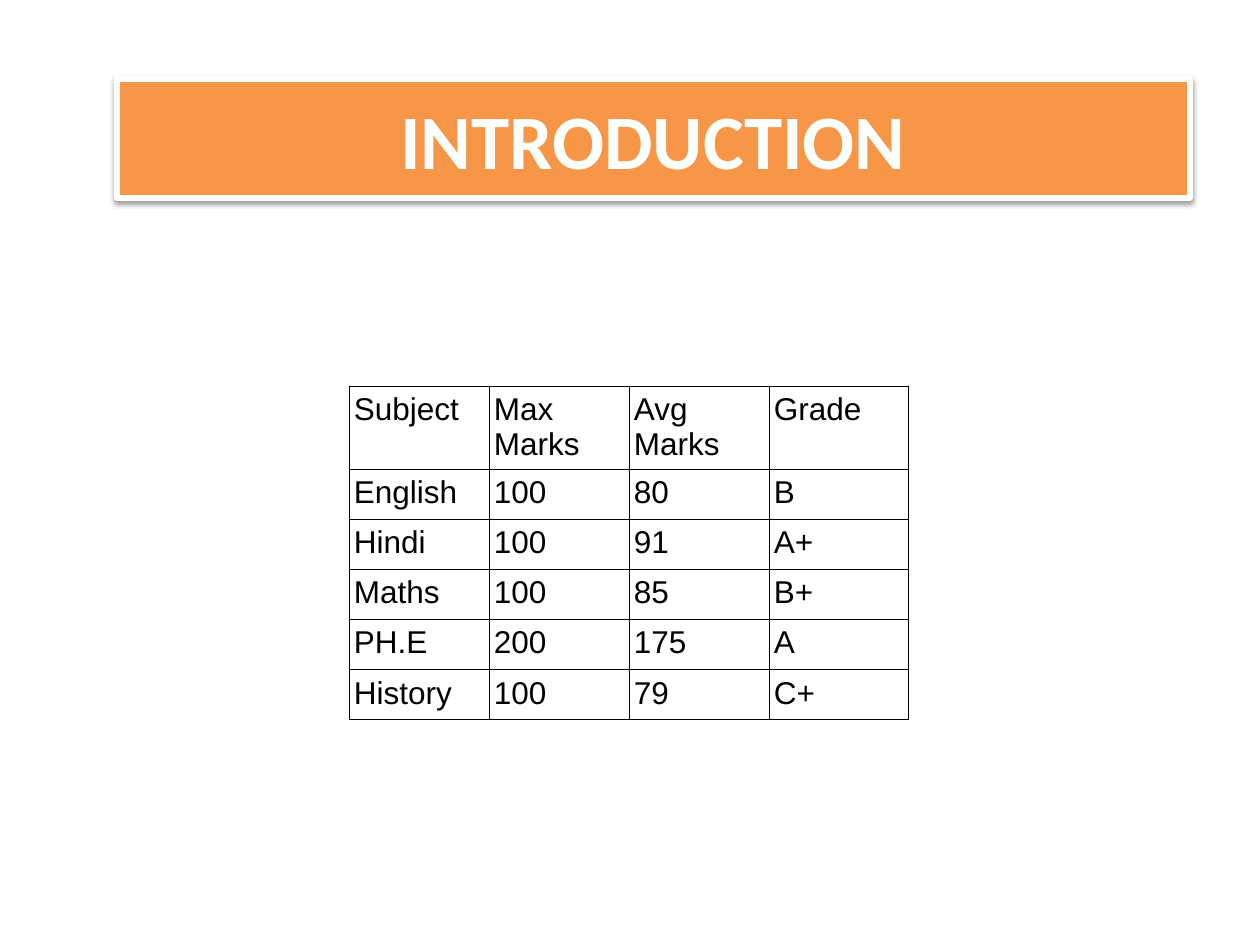
from lxml.etree import SubElement
from pptx import Presentation
from pptx.dml.color import RGBColor
from pptx.enum.shapes import MSO_SHAPE
from pptx.enum.text import MSO_ANCHOR, PP_ALIGN
from pptx.oxml import parse_xml
from pptx.oxml.ns import nsdecls, qn
from pptx.util import Emu, Pt

PX_PER_INCH = 126
ORANGE = RGBColor(0xF7, 0x96, 0x46)
WHITE = RGBColor(0xFF, 0xFF, 0xFF)
BLACK = RGBColor(0x00, 0x00, 0x00)

MARKS = [
    ("Subject", "Max Marks", "Avg Marks", "Grade"),
    ("English", "100", "80", "B"),
    ("Hindi", "100", "91", "A+"),
    ("Maths", "100", "85", "B+"),
    ("PH.E", "200", "175", "A"),
    ("History", "100", "79", "C+"),
]
HEADER_HEIGHT = 83


def px(length):
    return Emu(round(length * 914400 / PX_PER_INCH))


def style_paragraph(paragraph, name, size, color, bold=False):
    font = paragraph.font
    font.name = name
    font.size = Pt(size)
    font.bold = bold
    font.color.rgb = color


def add_shadow(shape):
    shape.shadow.inherit = False
    effects = shape._element.spPr.find(qn("a:effectLst"))
    effects.append(parse_xml(
        f'<a:outerShdw {nsdecls("a")} blurRad="{Pt(3.1)}" dist="{Pt(1.6)}" '
        f'dir="5400000" rotWithShape="0"><a:srgbClr val="{BLACK}">'
        '<a:alpha val="38000"/></a:srgbClr></a:outerShdw>'
    ))


def add_banner(slide, left, top, width, height, title):
    shape = slide.shapes.add_shape(
        MSO_SHAPE.RECTANGLE, px(left), px(top), px(width), px(height))
    shape.fill.solid()
    shape.fill.fore_color.rgb = ORANGE
    shape.line.color.rgb = WHITE
    shape.line.width = Pt(3)
    add_shadow(shape)
    frame = shape.text_frame
    frame.word_wrap = True
    frame.vertical_anchor = MSO_ANCHOR.MIDDLE
    paragraph = frame.paragraphs[0]
    paragraph.text = title
    paragraph.alignment = PP_ALIGN.CENTER
    style_paragraph(paragraph, "Calibri", 44, WHITE, bold=True)


def add_borders(cell):
    properties = cell._tc.get_or_add_tcPr()
    for side in ("lnL", "lnR", "lnT", "lnB"):
        line = SubElement(properties, qn(f"a:{side}"), w=str(Pt(0.57)))
        fill = SubElement(line, qn("a:solidFill"))
        SubElement(fill, qn("a:srgbClr"), val=str(BLACK))


def fill_cell(cell, text):
    add_borders(cell)
    cell.fill.background()
    cell.margin_left = cell.margin_right = px(5)
    cell.margin_top = cell.margin_bottom = px(6)
    paragraph = cell.text_frame.paragraphs[0]
    paragraph.text = text
    style_paragraph(paragraph, "Arial", 18, BLACK)


def add_marks_table(slide, left, top, width, height, rows):
    table = slide.shapes.add_table(
        len(rows), len(rows[0]), px(left), px(top), px(width), px(height)).table
    table.first_row = False
    table.horz_banding = False
    for column in table.columns:
        column.width = px(width / len(rows[0]))
    row_height = (height - HEADER_HEIGHT) / (len(rows) - 1)
    for index, (row, texts) in enumerate(zip(table.rows, rows)):
        row.height = px(row_height if index else HEADER_HEIGHT)
        for cell, text in zip(row.cells, texts):
            fill_cell(cell, text)


def main():
    presentation = Presentation()
    presentation.slide_width = px(1260)
    presentation.slide_height = px(945)
    slide = presentation.slides.add_slide(presentation.slide_layouts[6])
    add_banner(slide, 117, 79, 1073, 119, "INTRODUCTION")
    add_marks_table(slide, 349, 386, 560, 334, MARKS)
    presentation.save("out.pptx")


if __name__ == "__main__":
    main()
